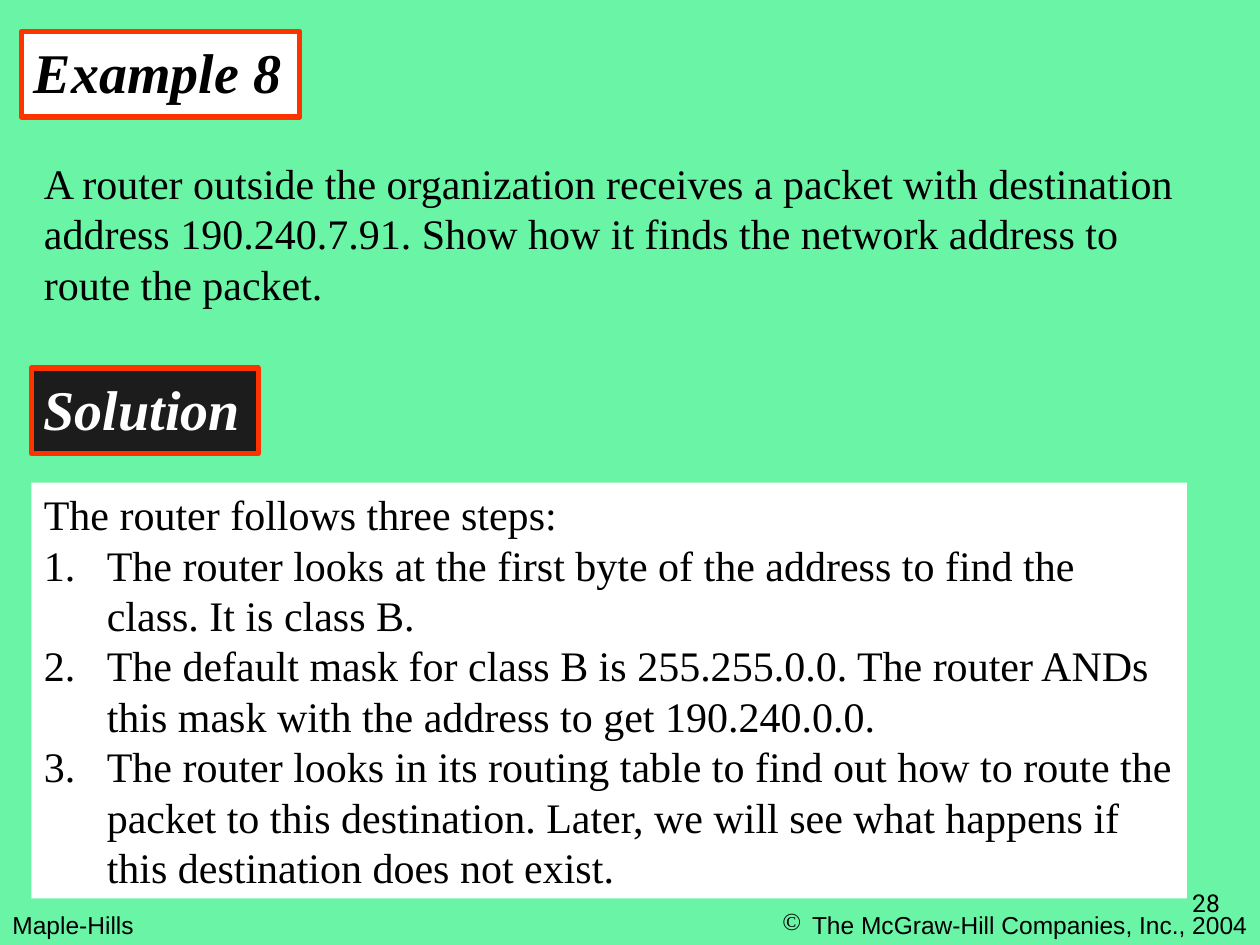
from lxml.etree import SubElement
from pptx import Presentation
from pptx.dml.color import RGBColor as Rgb
from pptx.enum.text import MSO_ANCHOR as Anchor, MSO_AUTO_SIZE as AutoSize, PP_ALIGN as Align
from pptx.oxml.ns import qn
from pptx.util import Inches, Pt

COLORS = {"mint": "6AF4A5", "white": "FFFFFF", "black": "000000",
          "charcoal": "1C1C1C", "red": "FF3300"}
WIDTH, HEIGHT = 10, 7.5
LEFT = 0.25
FOOTER_TOP, FOOTER_HEIGHT = 7.17, 0.33
HANGING = 0.5

# Content
PUBLISHER = "Maple-Hills"
COPYRIGHT = "The McGraw-Hill Companies, Inc., 2004"
PAGE_NUMBER = "28"
QUESTION = ("A router outside the organization receives a packet with destination "
            "address 190.240.7.91. Show how it finds the network address to route the packet.")
INTRO = "The router follows three steps:"
STEPS = [
    "The router looks at the first byte of the address to find the class. It is class B.",
    "The default mask for class B is 255.255.0.0. The router ANDs this mask with the "
    "address to get 190.240.0.0.",
    "The router looks in its routing table to find out how to route the packet to this "
    "destination. Later, we will see what happens if this destination does not exist.",
]

# Text styles: font, size, bold and italic
FOOTER = ("Arial", 14, False)
NUMBER = ("Roboto", 14, False)
HEADING = ("Times New Roman", 32, True)
BODY = ("Times New Roman", 24, False)


def color(name):
    return Rgb.from_string(COLORS[name])


def add_box(page, area, lines, style, ink="black", fill=None, border=None,
            align=Align.LEFT, wrap=True, bullets=(), hanging=0):
    """Add a text box; bullets holds one (tag, attributes) or None per line."""
    box = page.shapes.add_textbox(*map(Inches, area))
    if fill:
        box.fill.solid()
        box.fill.fore_color.rgb = color(fill)
    if border:
        box.line.color.rgb = color(border)
        box.line.width = Pt(3)
    frame = box.text_frame
    frame.word_wrap = wrap
    frame.auto_size = AutoSize.SHAPE_TO_FIT_TEXT
    frame.text = "\n".join(lines)
    name, size, strong = style
    for index, para in enumerate(frame.paragraphs):
        para.alignment = align
        properties = para._p.get_or_add_pPr()
        if hanging:
            properties.set("marL", str(Inches(hanging)))
            properties.set("indent", str(-Inches(hanging)))
        if bullets and bullets[index]:
            tag, attributes = bullets[index]
            SubElement(properties, qn(tag), attributes)
        font = para.font
        font.name, font.size = name, Pt(size)
        font.bold = font.italic = strong
        font.color.rgb = color(ink)
    return box


deck = Presentation()
deck.slide_width, deck.slide_height = Inches(WIDTH), Inches(HEIGHT)
page = deck.slides.add_slide(deck.slide_layouts[6])
page.background.fill.solid()
page.background.fill.fore_color.rgb = color("mint")

# Footer and page number
add_box(page, (0, FOOTER_TOP, 2.42, FOOTER_HEIGHT), [PUBLISHER], FOOTER)
add_box(page, (WIDTH / 2, FOOTER_TOP, WIDTH / 2, FOOTER_HEIGHT), [COPYRIGHT], FOOTER,
        align=Align.RIGHT, bullets=[("a:buChar", {"char": "©"})])
number = add_box(page, (7.7, 6.83, 2.08, 0.5), [PAGE_NUMBER], NUMBER, align=Align.RIGHT)
number.text_frame.auto_size = AutoSize.NONE
number.text_frame.vertical_anchor = Anchor.BOTTOM

# Question
add_box(page, (0.17, 0.25, 2.21, 0.68), ["Example 8"], HEADING,
        fill="white", border="red", wrap=False)
add_box(page, (LEFT, 1.2, 9.25, 1.3), [QUESTION], BODY)

# Solution
add_box(page, (LEFT, 2.92, 1.8, 0.68), ["Solution"], HEADING, ink="white",
        fill="charcoal", border="red", wrap=False)
numbering = ("a:buAutoNum", {"type": "arabicPeriod"})
add_box(page, (LEFT, 3.83, 9.17, 3.3), [INTRO, *STEPS], BODY, fill="white",
        bullets=[None] + [numbering] * len(STEPS), hanging=HANGING)

deck.save("out.pptx")
